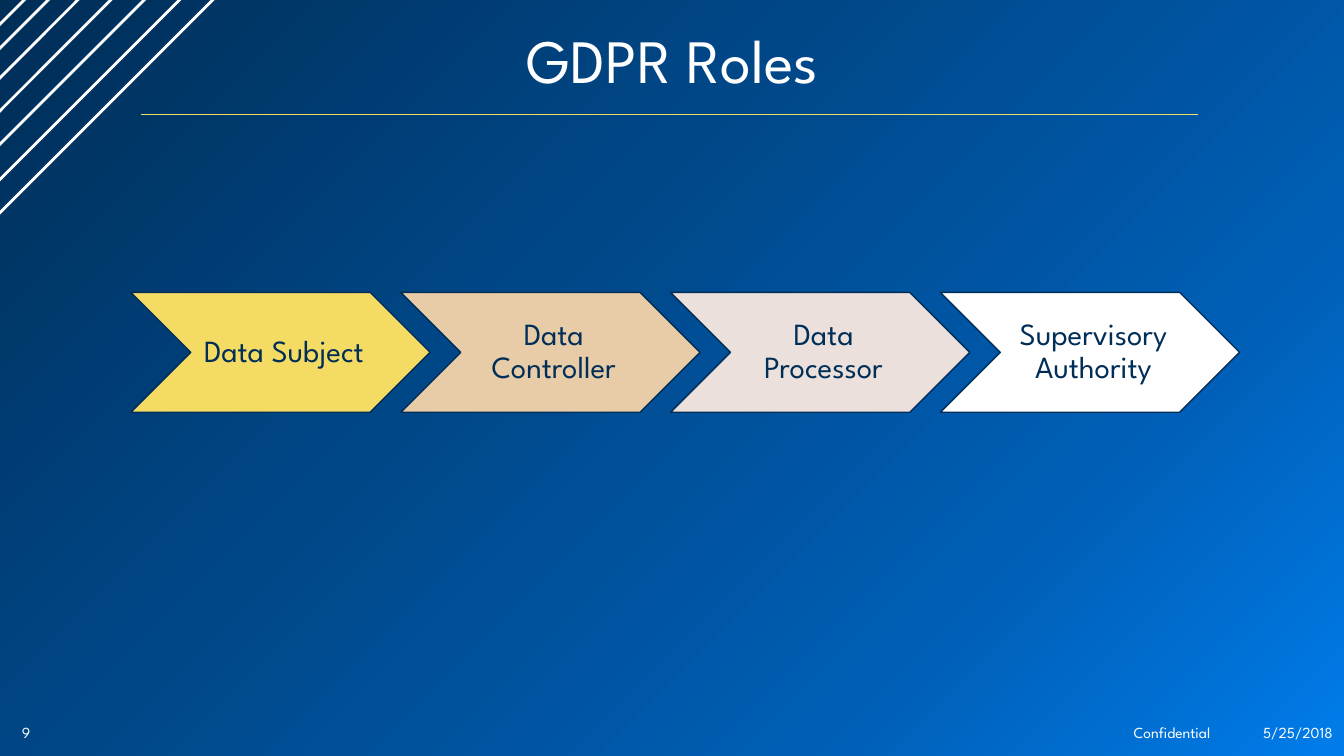
from lxml import etree
from pptx import Presentation
from pptx import oxml
from pptx import util as u
from pptx.dml.color import RGBColor
from pptx.enum import shapes, text
from pptx.oxml import ns

Cm, Pt = u.Cm, u.Pt

# Colours and font
WHITE = RGBColor(0xFF, 0xFF, 0xFF)
NAVY = RGBColor(0x00, 0x2E, 0x57)
YELLOW = RGBColor(0xF4, 0xDB, 0x63)
SAND = RGBColor(0xE8, 0xCB, 0xA7)
BLUSH = RGBColor(0xEB, 0xE0, 0xDB)
BRIGHT_BLUE = RGBColor(0x00, 0x7C, 0xEA)
MID_BLUE = RGBColor(0x00, 0x5E, 0xB4)
DEEP_BLUE = RGBColor(0x00, 0x47, 0x88)
FONT = "League Spartan"

# Content, lengths in cm
TITLE = "GDPR Roles"
ROLES = [
    ("Data Subject", YELLOW),
    ("Data Controller", SAND),
    ("Data Processor", BLUSH),
    ("Supervisory Authority", WHITE),
]
FOOTERS = [  # text, left, width, alignment
    ("5/25/2018", 31.27, 2.57, text.PP_ALIGN.RIGHT),
    ("Confidential", 27.99, 3.1, text.PP_ALIGN.CENTER),
    ("9", 0.3, 1.45, text.PP_ALIGN.LEFT),
]
STRIPES = [  # upper right end, then run to the lower left at 45 degrees
    (2.87, -0.08, 3.05),
    (3.76, -0.13, 4.14),
    (2.26, -0.3, 2.34),
    (1.24, -0.03, 1.63),
    (0.64, -0.03, 0.9),
    (5.89, -0.53, 6.45),
    (4.6, -0.08, 4.85),
]
GRADIENT = [(0, BRIGHT_BLUE), (26, MID_BLUE), (61, DEEP_BLUE), (100, NAVY)]

ROLE_LEFT, ROLE_TOP, ROLE_WIDTH, ROLE_HEIGHT = 3.3, 7.37, 7.54, 3.02
ROLE_PITCH = 6.8
FOOTER_TOP, FOOTER_HEIGHT = 18.16, 0.6

deck = Presentation()
deck.slide_width, deck.slide_height = Cm(33.87), Cm(19.05)
slide = deck.slides.add_slide(deck.slide_layouts[6])


def write(holder, words, size, color=WHITE, align=text.PP_ALIGN.CENTER,
          spacing=None, margins=None):
    frame = holder.text_frame
    frame.word_wrap = True
    frame.vertical_anchor = text.MSO_ANCHOR.MIDDLE
    if margins:
        (frame.margin_left, frame.margin_top,
         frame.margin_right, frame.margin_bottom) = map(Cm, margins)
    paragraph = frame.paragraphs[0]
    paragraph.text = words
    paragraph.alignment = align
    if spacing:
        paragraph.line_spacing = spacing
    font = paragraph.runs[0].font
    font.name, font.size, font.color.rgb = FONT, Pt(size), color


def draw_line(x1, y1, x2, y2, color, width):
    line = slide.shapes.add_connector(
        shapes.MSO_CONNECTOR.STRAIGHT, Cm(x1), Cm(y1), Cm(x2), Cm(y2))
    line.line.color.rgb, line.line.width = color, Pt(width)
    etree.SubElement(line._element.spPr, ns.qn("a:effectLst"))


# Background: gradient centred on the lower right corner
slide.background.fill.solid()
solid = slide.background._cSld.find(".//" + ns.qn("a:solidFill"))
stops = "".join(
    f'<a:gs pos="{place * 1000}"><a:srgbClr val="{color}"/></a:gs>'
    for place, color in GRADIENT)
solid.getparent().replace(solid, oxml.parse_xml(
    f'<a:gradFill {ns.nsdecls("a")} rotWithShape="1"><a:gsLst>{stops}</a:gsLst>'
    '<a:path path="circle"><a:fillToRect l="100000" t="100000"/></a:path>'
    '<a:tileRect r="-100000" b="-100000"/></a:gradFill>'))

# Corner stripes and title rule
for x, y, run in STRIPES:
    draw_line(x, y, x - run, y + run, WHITE, 2)
draw_line(30.18, 2.87, 3.56, 2.87, YELLOW, 0.5)

# Title
title = slide.shapes.add_textbox(Cm(4.95), Cm(0.38), Cm(24), Cm(2.44))
write(title, TITLE, 44, spacing=0.9)

# Footer
for words, left, width, align in FOOTERS:
    footer = slide.shapes.add_textbox(
        Cm(left), Cm(FOOTER_TOP), Cm(width), Cm(FOOTER_HEIGHT))
    write(footer, words, 11, align=align)

# Chain of roles
for i, (role, color) in enumerate(ROLES):
    chevron = slide.shapes.add_shape(
        shapes.MSO_SHAPE.CHEVRON, Cm(ROLE_LEFT + i * ROLE_PITCH), Cm(ROLE_TOP),
        Cm(ROLE_WIDTH), Cm(ROLE_HEIGHT))
    chevron.shadow.inherit = False
    chevron.fill.solid()
    chevron.fill.fore_color.rgb = color
    chevron.line.color.rgb, chevron.line.width = NAVY, Pt(1)
    write(chevron, role, 22, NAVY, spacing=0.9, margins=(0.25, 0.08, 0.08, 0.08))

deck.save("out.pptx")
